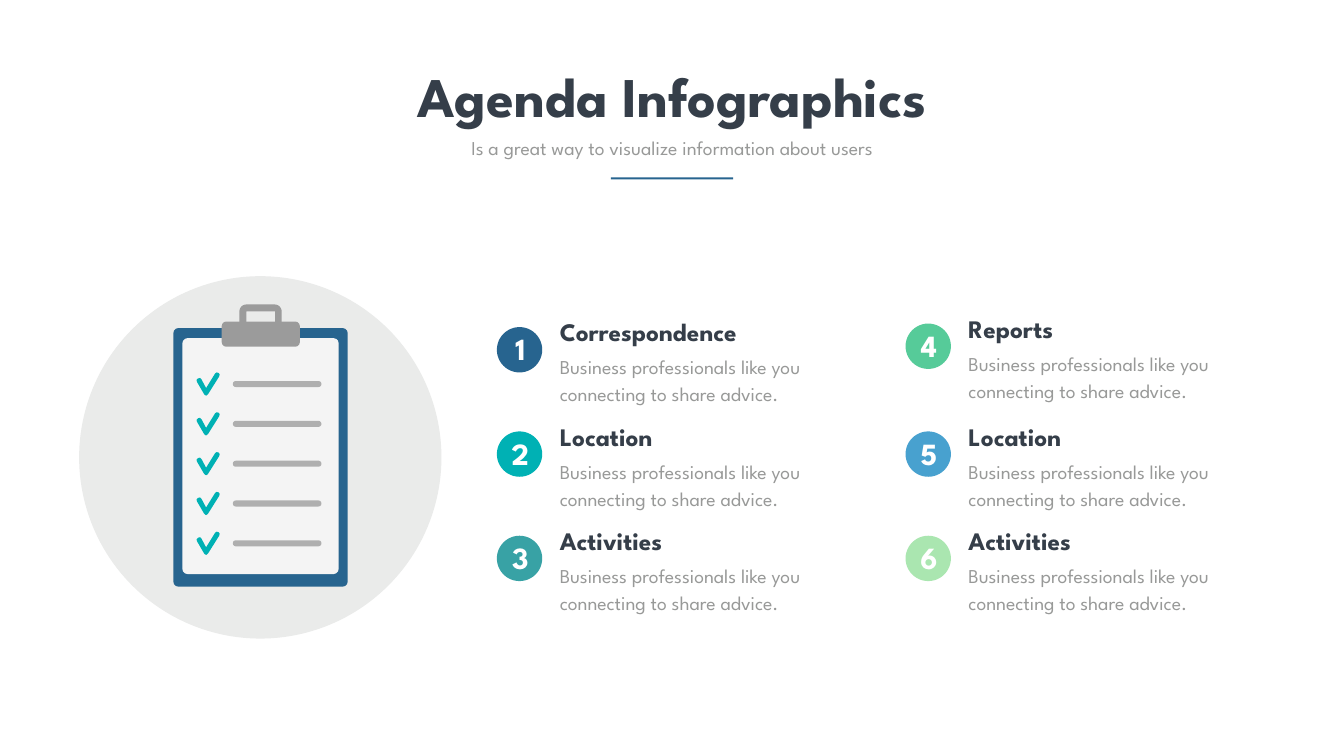
"""Build the agenda slide: a title, a clipboard drawing and six numbered topics."""
from dataclasses import dataclass
from math import cos, pi, sin

from pptx import Presentation
from pptx.dml.color import RGBColor
from pptx.enum.shapes import MSO_SHAPE
from pptx.enum.text import MSO_AUTO_SIZE, PP_ALIGN
from pptx.util import Inches, Pt

RECT, ROUNDED, OVAL = MSO_SHAPE.RECTANGLE, MSO_SHAPE.ROUNDED_RECTANGLE, MSO_SHAPE.OVAL
LEFT, CENTER = PP_ALIGN.LEFT, PP_ALIGN.CENTER
GROW = MSO_AUTO_SIZE.SHAPE_TO_FIT_TEXT

TITLE = "Agenda Infographics"
SUBTITLE = "Is a great way to visualize information about users"
ADVICE = "Business professionals like you connecting to share advice."
COLUMNS = [
    [("Correspondence", "27648F"), ("Location", "00B1B4"), ("Activities", "38A2A5")],
    [("Reports", "56CB99"), ("Location", "48A1CF"), ("Activities", "AAE6B0")],
]


@dataclass(frozen=True)
class Theme:
    font: str = "League Spartan"
    dark: str = "353E49"
    muted: str = "989998"
    white: str = "FFFFFF"
    accent: str = "27648F"
    disc: str = "EAEBEA"
    paper: str = "F4F4F4"
    entry: str = "AFAFAF"
    tick: str = "00B1B4"
    clip: str = "9B9B9B"
    title: int = 80
    number: int = 44
    heading: int = 36
    body: int = 28
    leading: float = 38.6


THEME = Theme()
WIDTH, HEIGHT = 26.67, 15
UNITS = 1000

COLUMN_LEFT, COLUMN_PITCH = 9.86, 8.11
HEADING_TOP, BADGE_TOP, ROW_PITCH = 6.23, 6.49, 2.07
COLUMN_LIFT = [0, 0.07]
BADGE, TEXT_INDENT, TEXT_WIDTH = 0.9, 1.15, 5.96

ENTRY_COUNT, ENTRY_TOP, ENTRY_PITCH = 5, 7.56, 0.79
TICK_TOP = 7.39
TICK = [
    (4.09, 0.46), (4.07, 0.45), (4.05, 0.43), (3.91, 0.19), (3.9, 0.15), (3.93, 0.12),
    (3.97, 0.11), (4, 0.14), (4.09, 0.31), (4.27, 0.02), (4.3, 0), (4.34, 0.01),
    (4.36, 0.04), (4.35, 0.08), (4.13, 0.43), (4.11, 0.45),
]
HANDLE, HANDLE_RADIUS = (4.75, 6.04, 5.59, 6.75), 0.14
HANDLE_HOLE = [(4.89, 6.18), (4.89, 6.61), (5.46, 6.61), (5.46, 6.18)]


def paint(shape, color):
    shape.shadow.inherit = False
    shape.fill.solid()
    shape.fill.fore_color.rgb = RGBColor.from_string(color)
    shape.line.fill.background()


def add_block(slide, kind, box, color, radius=0):
    block = slide.shapes.add_shape(kind, *map(Inches, box))
    if kind == ROUNDED:
        block.adjustments[0] = radius / min(box[2:])
    paint(block, color)


def add_outline(slide, contours, color):
    scaled = [[(x * UNITS, y * UNITS) for x, y in contour] for contour in contours]
    outline = slide.shapes.build_freeform(*scaled[0][0], scale=Inches(1) / UNITS)
    for index, contour in enumerate(scaled):
        if index:
            outline.move_to(*contour[0])
        outline.add_line_segments(contour[1:], close=True)
    paint(outline.convert_to_shape(), color)


def add_text(slide, text, box, size, color, bold=False, align=LEFT, wrap=True, leading=None):
    frame = slide.shapes.add_textbox(*map(Inches, box)).text_frame
    frame.word_wrap = wrap
    frame.auto_size = GROW
    paragraph = frame.paragraphs[0]
    paragraph.alignment = align
    if leading:
        paragraph.line_spacing = Pt(leading)
    run = paragraph.add_run()
    run.text = text
    run.font.name, run.font.size, run.font.bold = THEME.font, Pt(size), bold
    run.font.color.rgb = RGBColor.from_string(color)


def rounded_contour(left, top, right, bottom, radius, steps=6):
    corners = [
        (right - radius, bottom - radius), (left + radius, bottom - radius),
        (left + radius, top + radius), (right - radius, top + radius),
    ]
    return [
        (x + radius * cos(angle), y + radius * sin(angle))
        for quarter, (x, y) in enumerate(corners)
        for angle in [(quarter + step / steps) * pi / 2 for step in range(steps + 1)]
    ]


def add_header(slide):
    add_text(slide, TITLE, ((WIDTH - 11.72) / 2, 1.17, 11.72, 1.45), THEME.title,
             THEME.dark, bold=True, align=CENTER, wrap=False)
    add_text(slide, SUBTITLE, ((WIDTH - 9.56) / 2, 2.65, 9.56, 0.57), THEME.body,
             THEME.muted, align=CENTER)
    add_block(slide, RECT, ((WIDTH - 2.43) / 2, 3.52, 2.43, 0.04), THEME.accent)


def add_clipboard(slide):
    add_block(slide, OVAL, (1.57, 5.48, 7.19, 7.19), THEME.disc)
    add_block(slide, ROUNDED, (3.44, 6.51, 3.46, 5.13), THEME.accent, radius=0.1)
    add_block(slide, ROUNDED, (3.62, 6.71, 3.1, 4.68), THEME.paper, radius=0.1)
    for entry in range(ENTRY_COUNT):
        drop = entry * ENTRY_PITCH
        add_block(slide, ROUNDED, (4.62, ENTRY_TOP + drop, 1.76, 0.12), THEME.entry, radius=0.06)
        add_outline(slide, [[(x, TICK_TOP + drop + y) for x, y in TICK]], THEME.tick)
    add_block(slide, ROUNDED, (4.4, 6.38, 1.55, 0.5), THEME.clip, radius=0.09)
    add_outline(slide, [rounded_contour(*HANDLE, HANDLE_RADIUS), HANDLE_HOLE], THEME.clip)


def add_topic(slide, number, heading, color, left, drop):
    heading_top, badge_top = HEADING_TOP + drop, BADGE_TOP + drop
    text_left = left + TEXT_INDENT
    add_text(slide, ADVICE, (text_left, heading_top + 0.7, TEXT_WIDTH, 1.15), THEME.body,
             THEME.muted, leading=THEME.leading)
    add_text(slide, heading, (text_left, heading_top, TEXT_WIDTH, 0.71), THEME.heading,
             THEME.dark, bold=True)
    add_block(slide, OVAL, (left, badge_top, BADGE, BADGE), color)
    add_text(slide, str(number), (left + 0.19, badge_top + 0.01, 0.55, 0.84), THEME.number,
             THEME.white, bold=True, align=CENTER, wrap=False)


def main():
    deck = Presentation()
    deck.slide_width, deck.slide_height = Inches(WIDTH), Inches(HEIGHT)
    slide = deck.slides.add_slide(deck.slide_layouts[6])
    add_header(slide)
    add_clipboard(slide)
    for column, topics in enumerate(COLUMNS):
        for row, (heading, color) in enumerate(topics):
            lift = 0 if row else COLUMN_LIFT[column]
            add_topic(slide, column * len(topics) + row + 1, heading, color,
                      COLUMN_LEFT + column * COLUMN_PITCH, row * ROW_PITCH - lift)
    deck.save("out.pptx")


if __name__ == "__main__":
    main()
